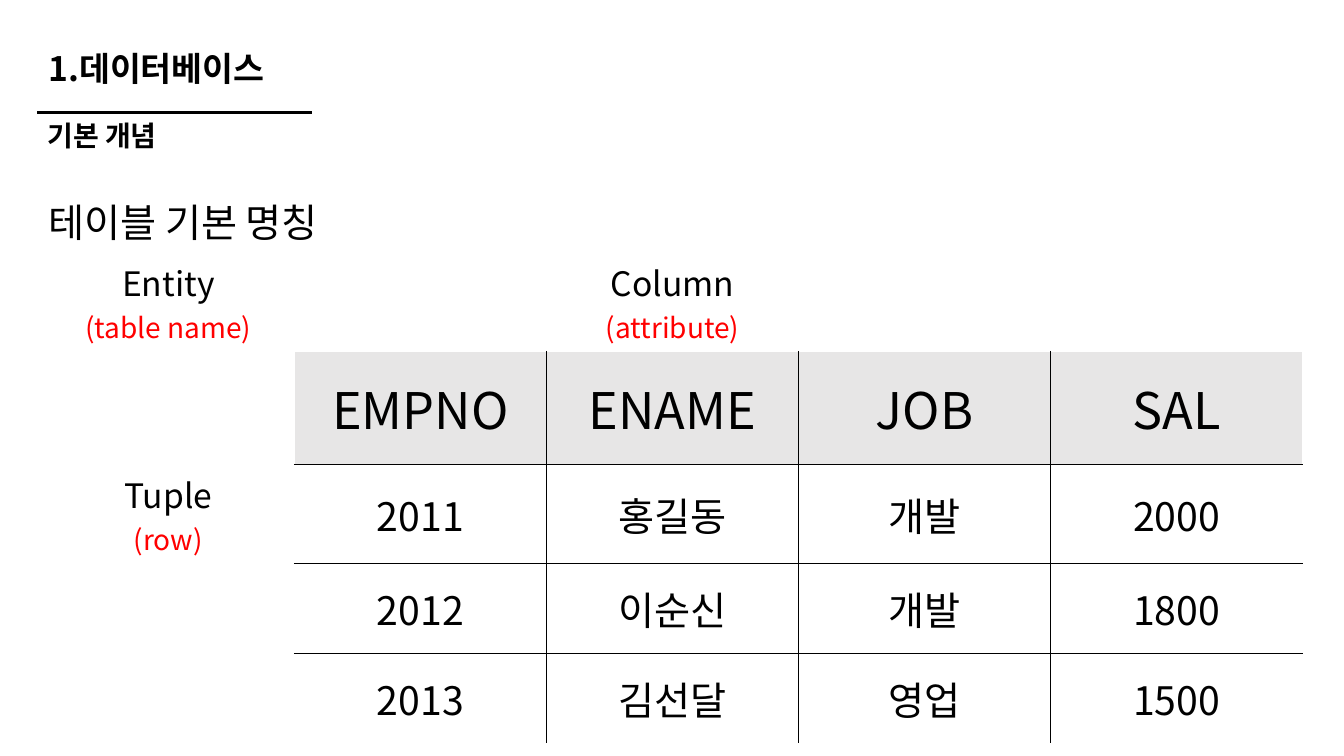
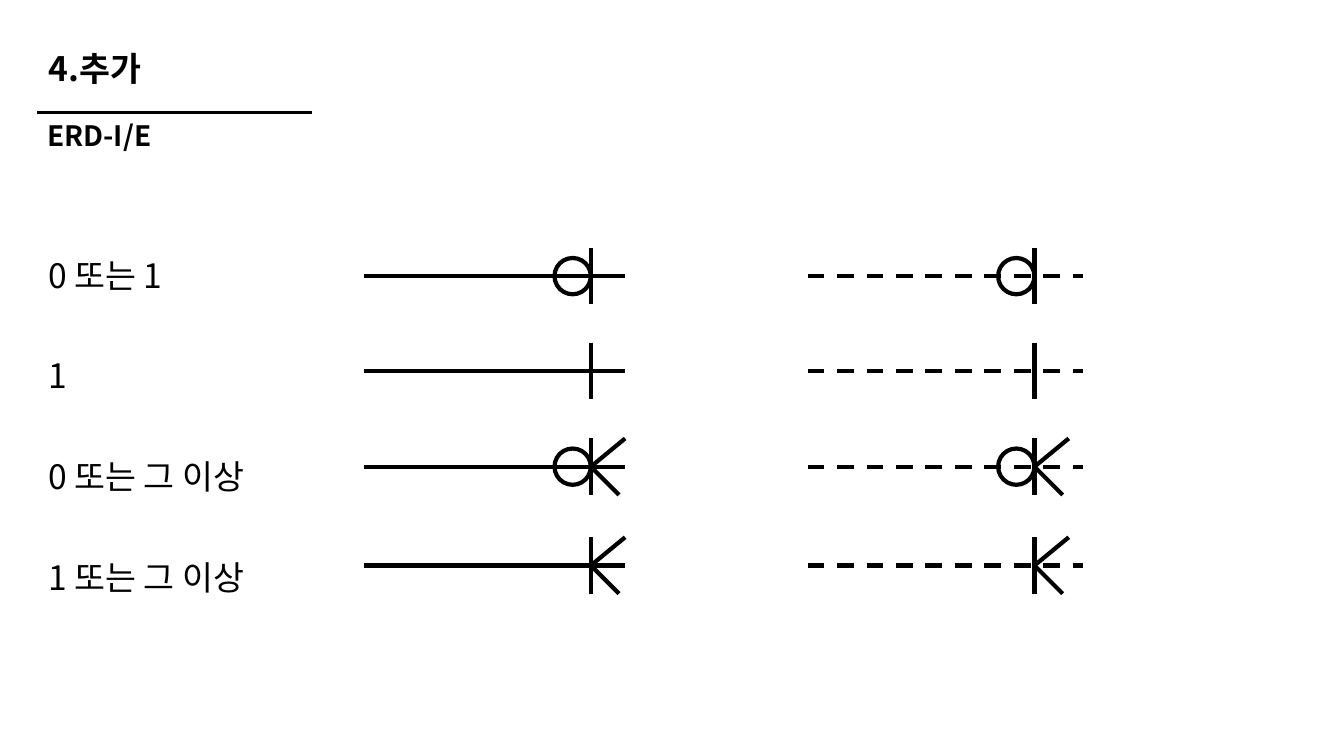
import lxml.etree
import pptx
import pptx.dml.color
import pptx.enum.dml
import pptx.enum.shapes
import pptx.enum.text
import pptx.oxml.ns
import pptx.util

Inches = pptx.util.Inches
Pt = pptx.util.Pt
qn = pptx.oxml.ns.qn
ALIGN = pptx.enum.text.PP_ALIGN
DASH = pptx.enum.dml.MSO_LINE.DASH

FONT = "Noto Sans CJK KR"
COLORS = {"ink": "000000", "alias": "FF0000", "header": "E7E6E6", "paper": "FFFFFF"}

TITLE = {"size": Pt(24), "bold": True}
SUBTITLE = {"size": Pt(20), "bold": True}
TOPIC = {"size": Pt(28)}
TERM = {"size": Pt(24)}
ALIAS = {"size": Pt(20)}
COLUMN_NAME = {"size": Pt(36)}
VALUE = {"size": Pt(28)}

FRAME_FORMAT = {
    "word_wrap": True,
    "auto_size": pptx.enum.text.MSO_AUTO_SIZE.NONE,
    "vertical_anchor": pptx.enum.text.MSO_ANCHOR.MIDDLE,
}
LEFT_LINE = {"alignment": ALIGN.LEFT, "line_spacing": 0.9}
CELL_LINE = {"alignment": ALIGN.CENTER}

COLUMN_WIDTH = 2.5
ROW_HEIGHTS = [0.98, 1.12, 0.98, 0.89, 0.89]
TABLE_ROWS = [
    ["Entity\n(table name)", "", "Column\n(attribute)", "", ""],
    ["", "EMPNO", "ENAME", "JOB", "SAL"],
    ["Tuple\n(row)", "2011", "홍길동", "개발", "2000"],
    ["", "2012", "이순신", "개발", "1800"],
    ["", "2013", "김선달", "영업", "1500"],
]

CARDINALITIES = [
    ("0 또는 1", 2.74, True, False),
    ("1", 3.68, False, False),
    ("0 또는 그 이상", 4.63, True, True),
    ("1 또는 그 이상", 5.61, False, True),
]
RELATIONS = [(5.86, 0.34, None), (10.26, 0.48, DASH)]


def rgb(name):
    return pptx.dml.color.RGBColor.from_string(COLORS[name])


def apply(target, formats):
    for attribute, value in formats.items():
        setattr(target, attribute, value)


def write_line(paragraph, text, font, layout, color="ink"):
    apply(paragraph, layout)
    run = paragraph.add_run()
    run.text = text
    apply(run.font, {"name": FONT, **font})
    run.font.color.rgb = rgb(color)
    east_asian = lxml.etree.SubElement(run.font._element, qn("a:ea"))
    east_asian.set("typeface", FONT)


def fill_text(holder, area, text, font):
    left, top, width, height = map(Inches, area)
    apply(holder, {"left": left, "top": top, "width": width, "height": height})
    apply(holder.text_frame, FRAME_FORMAT)
    write_line(holder.text_frame.paragraphs[0], text, font, LEFT_LINE)


def add_label(slide, area, text, font):
    fill_text(slide.shapes.add_textbox(0, 0, 0, 0), area, text, font)


def add_stroke(slide, start, end, width=3, dash=None):
    stroke = slide.shapes.add_connector(
        pptx.enum.shapes.MSO_CONNECTOR.STRAIGHT, *map(Inches, start + end)
    )
    stroke.line.color.rgb = rgb("ink")
    apply(stroke.line, {"width": Pt(width), "dash_style": dash})
    lxml.etree.SubElement(stroke._element.spPr, qn("a:effectLst"))


def add_ring(slide, left, top, diameter):
    ring = slide.shapes.add_shape(
        pptx.enum.shapes.MSO_SHAPE.OVAL, *map(Inches, (left, top, diameter, diameter))
    )
    ring.shadow.inherit = False
    ring.fill.background()
    ring.line.color.rgb = rgb("ink")
    ring.line.width = Pt(3)


def add_section(deck, title, subtitle):
    slide = deck.slides.add_slide(deck.slide_layouts[5])
    fill_text(slide.shapes.title, (0.38, 0.31, 4.35, 0.79), title, TITLE)
    add_stroke(slide, (0.37, 1.12), (3.09, 1.12), width=2.25)
    add_label(slide, (0.37, 1.13, 2.59, 0.47), subtitle, SUBTITLE)
    return slide


def draw_borders(cell, sides):
    properties = cell._tc.get_or_add_tcPr()
    for side, visible in sides.items():
        border = lxml.etree.SubElement(properties, qn(f"a:ln{side}"), w=str(Pt(1)))
        fill = lxml.etree.SubElement(border, qn("a:solidFill"))
        color = COLORS["ink" if visible else "paper"]
        lxml.etree.SubElement(fill, qn("a:srgbClr"), val=color)


def format_cell(cell, row, column, text):
    last_row, last_column = len(TABLE_ROWS) - 1, len(TABLE_ROWS[0]) - 1
    in_grid = row > 0 and column > 0
    draw_borders(cell, {
        "L": in_grid and column > 1,
        "R": in_grid and column < last_column,
        "T": in_grid and row > 1,
        "B": in_grid and row < last_row,
    })
    cell.fill.solid()
    cell.fill.fore_color.rgb = rgb("header" if in_grid and row == 1 else "paper")
    cell.vertical_anchor = pptx.enum.text.MSO_ANCHOR.MIDDLE
    if not text:
        return
    term, *aliases = text.split("\n")
    font = TERM if aliases else COLUMN_NAME if row == 1 else VALUE
    write_line(cell.text_frame.paragraphs[0], term, font, CELL_LINE)
    for alias in aliases:
        write_line(cell.text_frame.add_paragraph(), alias, ALIAS, CELL_LINE, "alias")


def add_employee_table(slide):
    columns = len(TABLE_ROWS[0])
    area = (0.42, 2.5, COLUMN_WIDTH * columns, sum(ROW_HEIGHTS))
    table = slide.shapes.add_table(len(TABLE_ROWS), columns, *map(Inches, area)).table
    apply(table, {"first_row": False, "horz_banding": False})
    for row, (height, texts) in enumerate(zip(ROW_HEIGHTS, TABLE_ROWS)):
        table.rows[row].height = Inches(height)
        for column, text in enumerate(texts):
            format_cell(table.cell(row, column), row, column, text)


def add_relation(slide, bar, tail, dash, y, optional, many):
    add_stroke(slide, (bar - 2.25, y), (bar + tail, y), dash=dash)
    add_stroke(slide, (bar, y - 0.28), (bar, y + 0.28))
    if optional:
        add_ring(slide, bar - 0.36, y - 0.18, 0.36)
    if many:
        add_stroke(slide, (bar + 0.34, y - 0.28), (bar, y))
        add_stroke(slide, (bar, y), (bar + 0.28, y + 0.28))


def build_table_terms(deck):
    slide = add_section(deck, "1.데이터베이스", "기본 개념")
    add_label(slide, (0.38, 1.93, 4.35, 0.6), "테이블 기본 명칭", TOPIC)
    add_employee_table(slide)


def build_cardinalities(deck):
    slide = add_section(deck, "4.추가", "ERD-I/E")
    for index, (label, y, optional, many) in enumerate(CARDINALITIES):
        add_label(slide, (0.38, 2.45 + index, 3, 0.6), label, TERM)
        for bar, tail, dash in RELATIONS:
            add_relation(slide, bar, tail, dash, y, optional, many)


def main():
    deck = pptx.Presentation()
    apply(deck, {"slide_width": Inches(13.33), "slide_height": Inches(7.5)})
    build_table_terms(deck)
    build_cardinalities(deck)
    deck.save("out.pptx")


if __name__ == "__main__":
    main()
